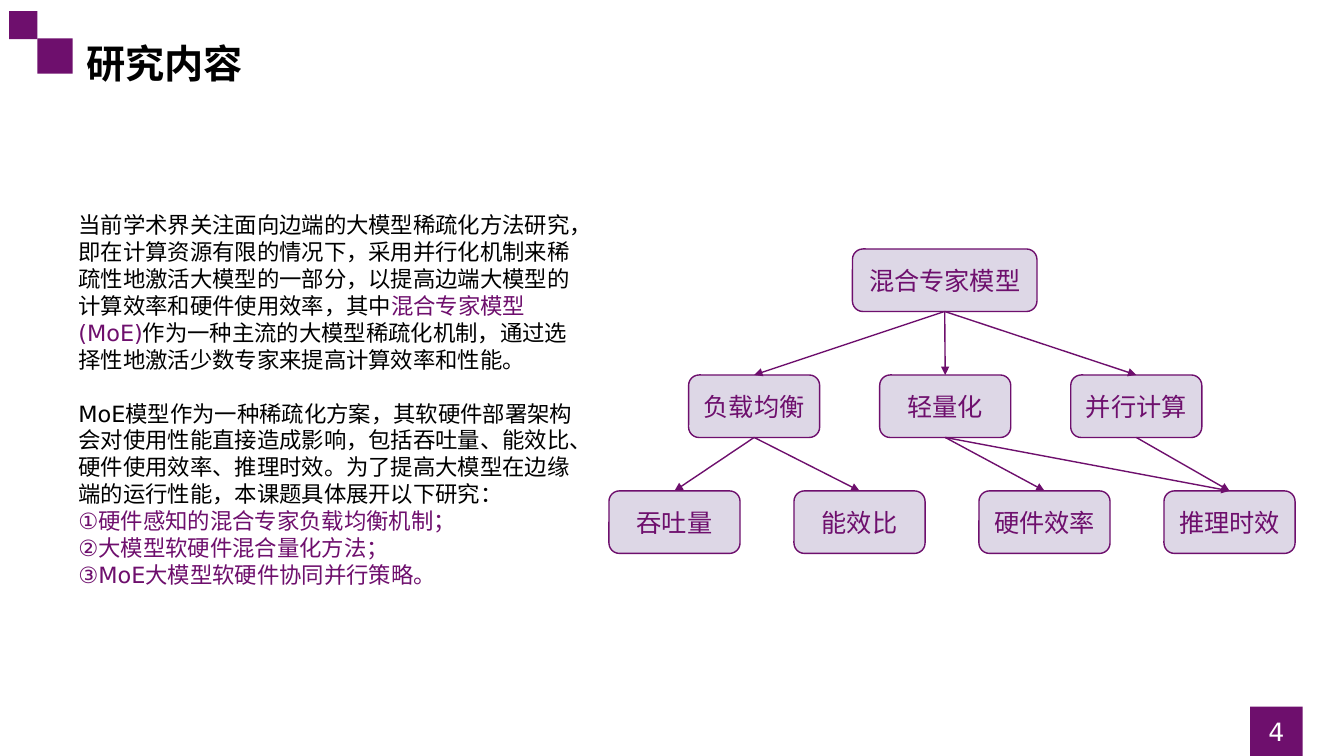
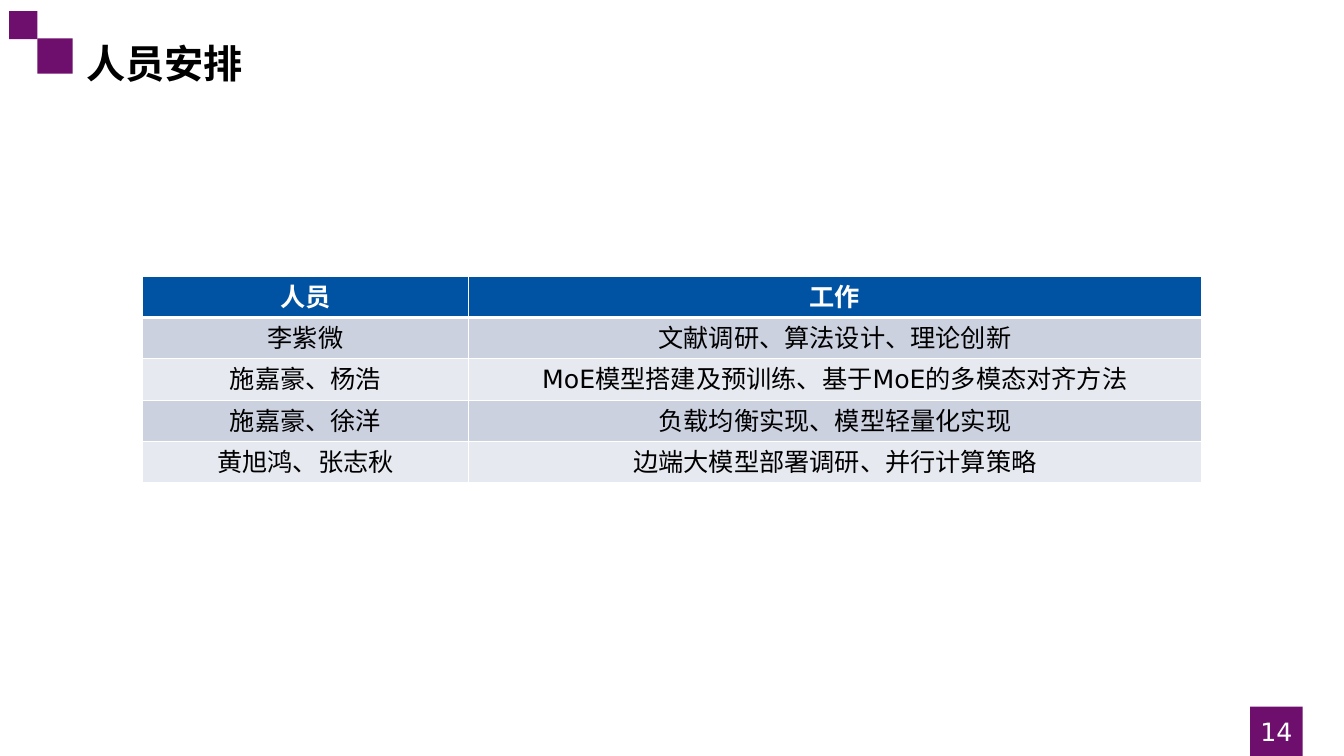
from dataclasses import dataclass

from lxml import etree
from pptx import Presentation, util as u
from pptx.dml.color import RGBColor
from pptx.enum import lang, shapes, text
from pptx.oxml import ns


@dataclass(frozen=True)
class Theme:
    purple: str = "6E0F6D"
    lilac: str = "DDD7E6"
    blue: str = "0053A3"
    bands: tuple = ("CCD1E0", "E7E9F0")
    black: str = "000000"
    white: str = "FFFFFF"
    font: str = "DejaVu Sans"
    title_font: str = "Noto Sans CJK SC"
    title: int = 28
    label: int = 18
    body: int = 16
    title_line: float = 36
    label_line: float = 22
    body_line: float = 19.2


T = Theme()
W, H = 13.33, 7.5

# Content: body paragraphs are (space before, [(text, colour), ...])
BODY = [
    (0, [("当前学术界关注面向边端的大模型稀疏化方法研究，即在计算资源有限的情况下，采用并行化机制来稀疏性地激活大模型的一部分，以提高边端大模型的计算效率和硬件使用效率，其中", T.black),
         ("混合专家模型(MoE)", T.purple),
         ("作为一种主流的大模型稀疏化机制，通过选择性地激活少数专家来提高计算效率和性能。", T.black)]),
    (T.body_line, [("MoE模型作为一种稀疏化方案，其软硬件部署架构会对使用性能直接造成影响，包括吞吐量、能效比、硬件使用效率、推理时效。为了提高大模型在边缘端的运行性能，本课题具体展开以下研究：", T.black)]),
    (0, [("①硬件感知的混合专家负载均衡机制；", T.purple)]),
    (0, [("②大模型软硬件混合量化方法；", T.purple)]),
    (0, [("③MoE大模型软硬件协同并行策略。", T.purple)]),
]
# Tree levels: (top, first centre, pitch, box width, labels)
LEVELS = [
    (2.47, 9.37, 0, 1.83, ["混合专家模型"]),
    (3.72, 7.48, 1.895, 1.3, ["负载均衡", "轻量化", "并行计算"]),
    (4.87, 6.69, 1.835, 1.3, ["吞吐量", "能效比", "硬件效率", "推理时效"]),
]
NODE_H = 0.62
LINKS = {
    "混合专家模型": ["负载均衡", "轻量化", "并行计算"],
    "负载均衡": ["吞吐量", "能效比"],
    "轻量化": ["硬件效率", "推理时效"],
    "并行计算": ["推理时效"],
}
STAFF = [
    ("人员", "工作"),
    ("李紫微", "文献调研、算法设计、理论创新"),
    ("施嘉豪、杨浩", "MoE模型搭建及预训练、基于MoE的多模态对齐方法"),
    ("施嘉豪、徐洋", "负载均衡实现、模型轻量化实现"),
    ("黄旭鸿、张志秋", "边端大模型部署调研、并行计算策略"),
]
STAFF_COLS, STAFF_ROW, STAFF_TOP = (3.23, 7.27), 0.41, 2.74


# Shared helpers
def rgb(value):
    return RGBColor.from_string(value)


def box(left, top, width, height):
    return [u.Inches(v) for v in (left, top, width, height)]


def style(p, size, color, line, bold=False, name=T.font, align=None):
    p.line_spacing = u.Pt(line)
    p.alignment = align
    for r in p.runs:
        f = r.font
        f.size, f.bold, f.name = u.Pt(size), bold, name
        f.language_id = lang.MSO_LANGUAGE_ID.SIMPLIFIED_CHINESE
        f.color.rgb = rgb(color)
        ea = etree.SubElement(r._r.get_or_add_rPr(), ns.qn("a:ea"))
        ea.set("typeface", name)


def add_box(s, kind, at, fill, line=None, label=None, color=T.white):
    sp = s.shapes.add_shape(kind, *box(*at))
    sp.shadow.inherit = False
    sp.fill.solid()
    sp.fill.fore_color.rgb = rgb(fill)
    if line:
        sp.line.color.rgb = rgb(line)
        sp.line.width = u.Pt(1)
    else:
        sp.line.fill.background()
    if label:
        tf = sp.text_frame
        tf.margin_left = tf.margin_right = 0
        tf.vertical_anchor = text.MSO_ANCHOR.MIDDLE
        tf.text = label
        style(tf.paragraphs[0], T.label, color, T.label_line,
              align=text.PP_ALIGN.CENTER)
    return sp


def add_text(s, at):
    tf = s.shapes.add_textbox(*box(*at)).text_frame
    tf.word_wrap = True
    return tf


def add_page(prs, title, number):
    s = prs.slides.add_slide(prs.slide_layouts[6])
    rect = shapes.MSO_SHAPE.RECTANGLE
    add_box(s, rect, (12.4, 7.01, 0.52, H - 7.01), T.purple, label=str(number))
    for left, top, side in ((0.37, 0.38, 0.35), (0.09, 0.11, 0.28)):
        add_box(s, rect, (left, top, side, side), T.purple)
    tf = add_text(s, (0.76, 0.31, 5.9, 0.57))
    tf.text = title
    style(tf.paragraphs[0], T.title, T.black, T.title_line, True, T.title_font)
    return s


def add_arrow(s, start, end):
    c = s.shapes.add_connector(shapes.MSO_CONNECTOR.STRAIGHT, 0, 0, 0, 0)
    c.begin_connect(start, 2)
    c.end_connect(end, 0)
    c.line.color.rgb = rgb(T.purple)
    c.line.width = u.Pt(1)
    tail = etree.SubElement(c.line._get_or_add_ln(), ns.qn("a:tailEnd"))
    tail.set("type", "triangle")
    etree.SubElement(c._element.spPr, ns.qn("a:effectLst"))


def set_borders(cell, widths):
    tc_pr = cell._tc.get_or_add_tcPr()
    for i, (side, width) in enumerate(widths.items()):
        ln = etree.Element(ns.qn(f"a:ln{side}"), w=str(u.Pt(width)))
        fill = etree.SubElement(ln, ns.qn("a:solidFill"))
        etree.SubElement(fill, ns.qn("a:srgbClr"), val=T.white)
        tc_pr.insert(i, ln)


# Slides
def research_slide(prs):
    s = add_page(prs, "研究内容", 4)
    tf = add_text(s, (0.68, 2.05, 5.12, 3.87))
    for i, (before, parts) in enumerate(BODY):
        p = tf.add_paragraph() if i else tf.paragraphs[0]
        for words, _ in parts:
            p.add_run().text = words
        style(p, T.body, T.black, T.body_line)
        p.space_before = u.Pt(before)
        for r, (_, color) in zip(p.runs, parts):
            r.font.color.rgb = rgb(color)

    # Tree of model, methods and metrics
    nodes = {}
    for top, centre, pitch, width, labels in LEVELS:
        for i, label in enumerate(labels):
            at = (centre + i * pitch - width / 2, top, width, NODE_H)
            nodes[label] = add_box(s, shapes.MSO_SHAPE.ROUNDED_RECTANGLE, at,
                                   T.lilac, T.purple, label, T.purple)
    for parent, children in LINKS.items():
        for child in children:
            add_arrow(s, nodes[parent], nodes[child])


def staff_slide(prs):
    s = add_page(prs, "人员安排", 14)
    width = sum(STAFF_COLS)
    at = ((W - width) / 2, STAFF_TOP, width, STAFF_ROW * len(STAFF))
    table = s.shapes.add_table(len(STAFF), len(STAFF_COLS), *box(*at)).table
    for col, col_width in zip(table.columns, STAFF_COLS):
        col.width = u.Inches(col_width)
    for i, row in enumerate(STAFF):
        head = i == 0
        for j, words in enumerate(row):
            cell = table.cell(i, j)
            cell.text = words
            style(cell.text_frame.paragraphs[0], T.label,
                  T.white if head else T.black, T.label_line, head,
                  align=text.PP_ALIGN.CENTER)
            cell.fill.solid()
            cell.fill.fore_color.rgb = rgb(T.blue if head else T.bands[(i - 1) % 2])
            set_borders(cell, {"L": 1, "R": 1, "T": 3 if i == 1 else 1,
                               "B": 3 if head else 1})


def main():
    prs = Presentation()
    prs.slide_width, prs.slide_height = u.Inches(W), u.Inches(H)
    research_slide(prs)
    staff_slide(prs)
    prs.save("out.pptx")


if __name__ == "__main__":
    main()
